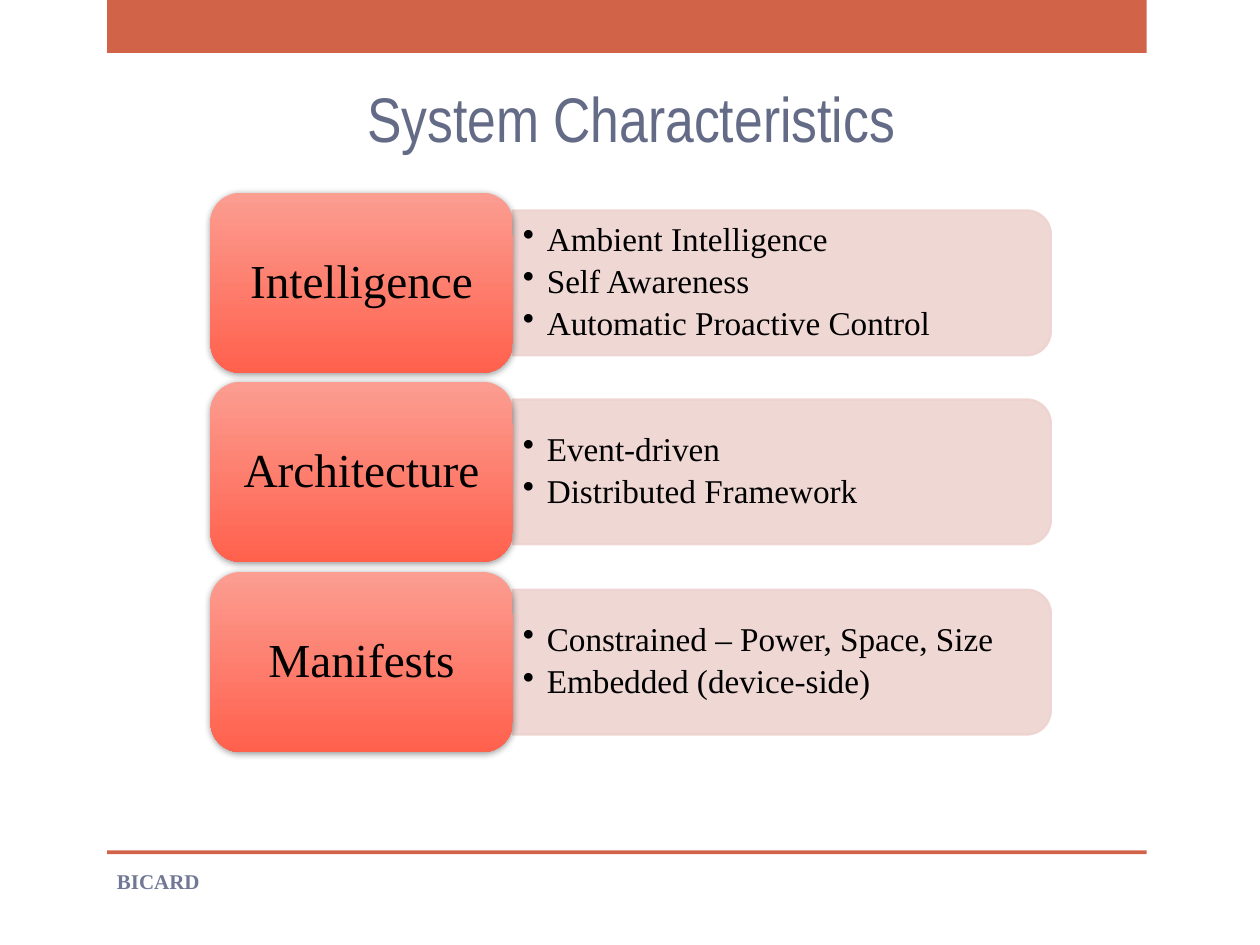
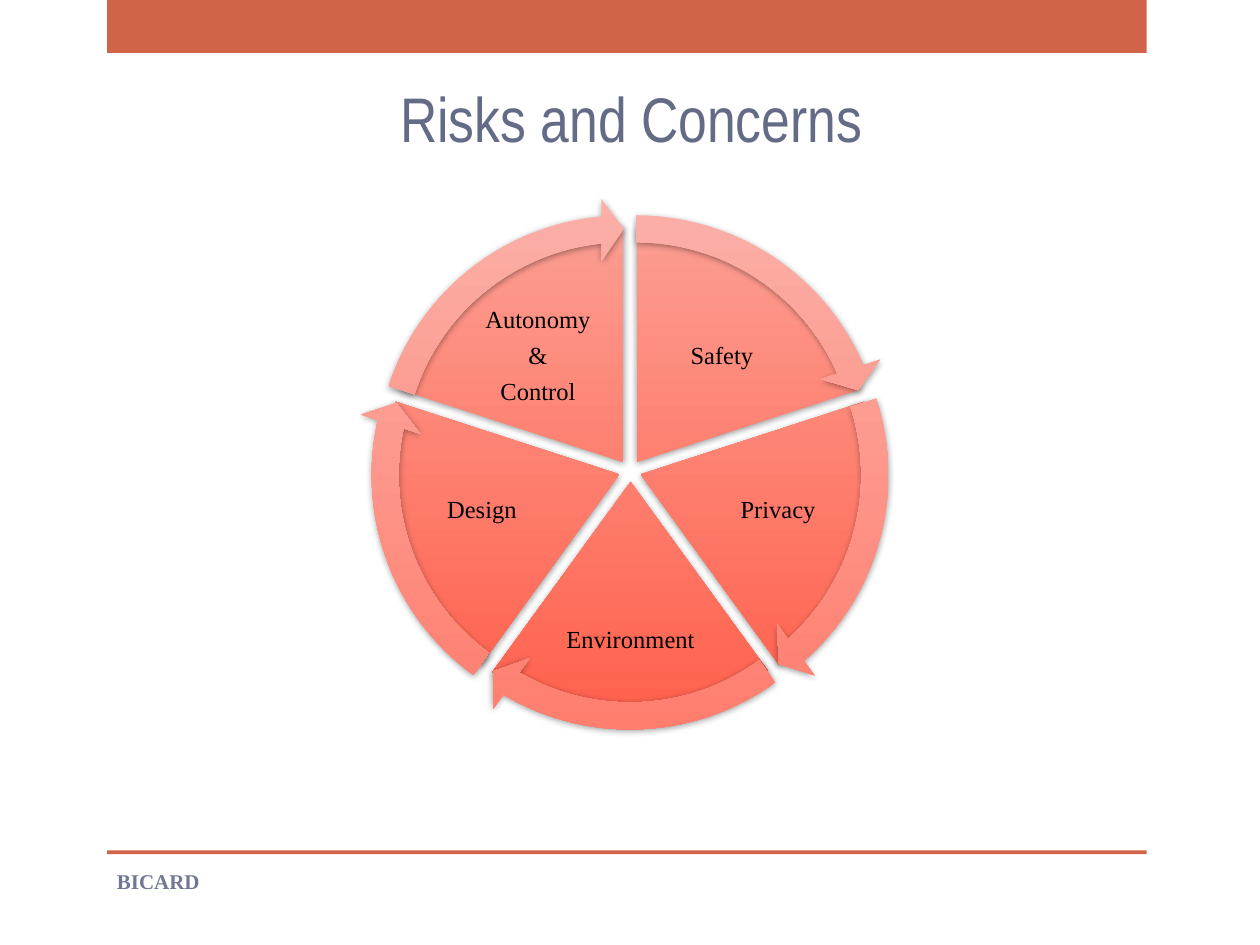
from math import cos, radians, sin

from lxml.etree import SubElement
from pptx import Presentation
from pptx.dml.color import RGBColor
from pptx.enum.shapes import MSO_SHAPE as Preset
from pptx.enum.text import MSO_ANCHOR as Anchor, PP_ALIGN as Align
from pptx.oxml.ns import qn
from pptx.util import Emu, Pt

PX = 9144  # one hundred px to the inch
BLANK_LAYOUT = 6
COLORS = {
    "band": "D16349", "title": "646B86", "footer": "717895", "text": "000000",
    "panel": "EED3D0", "shadow": "000000",
    "block_top": "FC9D91", "block_bottom": "FF614D",
    "arrow_top": "FBB0A8", "arrow_bottom": "FF7C6C",
}
SERIF = "Times New Roman"
TEXT_STYLES = {
    "title": {
        "font": {"name": "Arial Narrow", "size": Pt(36)}, "color": "title",
        "paragraph": {"alignment": Align.CENTER}},
    "footer": {
        "font": {"name": SERIF, "size": Pt(12), "bold": True}, "color": "footer",
        "paragraph": {"alignment": Align.LEFT},
        "frame": {"vertical_anchor": Anchor.MIDDLE}},
    "heading": {
        "font": {"name": SERIF, "size": Pt(27)}, "color": "text", "insets": (11, 6),
        "paragraph": {"alignment": Align.CENTER, "line_spacing": 0.9,
                      "space_after": Pt(10.8)},
        "frame": {"vertical_anchor": Anchor.MIDDLE}},
    "bullets": {
        "font": {"name": SERIF, "size": Pt(19)}, "color": "text", "insets": (8, 4),
        "paragraph": {"alignment": Align.LEFT, "level": 1, "line_spacing": 0.9,
                      "space_after": Pt(3.6)},
        "frame": {"vertical_anchor": Anchor.MIDDLE}, "bullet_indent": 19},
    "label": {
        "font": {"name": SERIF, "size": Pt(14)}, "color": "text", "insets": (2, 2),
        "paragraph": {"alignment": Align.CENTER, "line_spacing": 0.9,
                      "space_after": Pt(5.6)},
        "frame": {"vertical_anchor": Anchor.MIDDLE}},
}

CHARACTERISTICS = [
    ("Intelligence",
     ["Ambient Intelligence", "Self Awareness", "Automatic Proactive Control"]),
    ("Architecture", ["Event-driven", "Distributed Framework"]),
    ("Manifests", ["Constrained – Power, Space, Size", "Embedded (device-side)"]),
]
RISKS = [
    (["Safety"], (513, 243, 120, 80)),
    (["Privacy"], (562, 361, 111, 89)),
    (["Environment"], (447, 459, 107, 98)),
    (["Design"], (327, 361, 111, 89)),
    (["Autonomy", "&", "Control"], (367, 243, 120, 80)),
]


def set_all(target, values):
    for name, value in values.items():
        setattr(target, name, value)


def rgb(color):
    return RGBColor.from_string(COLORS[color])


class Deck:
    """Holds the presentation and the slide that is being filled."""

    def __init__(self, width, height):
        self.presentation = Presentation()
        self.presentation.slide_width = Emu(width * PX)
        self.presentation.slide_height = Emu(height * PX)
        self.slide = None

    def start_slide(self, title):
        layout = self.presentation.slide_layouts[BLANK_LAYOUT]
        self.slide = self.presentation.slides.add_slide(layout)
        for top, height in ((0, 42), (675, 3)):
            self.shape(Preset.RECTANGLE, (85, top, 825, height), "band")
        self.text_box((83, 679, 533, 40), ["BICARD"], "footer")
        self.text_box((51, 58, 900, 92), [title], "title")

    def shape(self, preset, box, color=None, adjustments=()):
        shape = self.slide.shapes.add_shape(preset, *(Emu(n * PX) for n in box))
        shape.shadow.inherit = False
        shape.line.fill.background()
        for index, value in enumerate(adjustments):
            shape.adjustments[index] = value
        if color:
            shape.fill.solid()
            shape.fill.fore_color.rgb = rgb(color)
        return shape

    def panel(self, box):
        """Draw a see-through panel, turned so its round corners face right."""
        shape = self.shape(Preset.ROUND_2_SAME_RECTANGLE, box, "panel")
        shape.rotation = 90
        shape.line.color.rgb = rgb("panel")
        shape.line.width = Pt(1.25)
        for color in shape._element.spPr.iter(qn("a:srgbClr")):
            SubElement(color, qn("a:alpha"), val="90000")

    def raised_shape(self, preset, box, tone, adjustments=()):
        """Draw a shape with a top-to-bottom gradient and a soft shadow."""
        shape = self.shape(preset, box, adjustments=adjustments)
        shape.fill.gradient()
        shape.fill.gradient_angle = 270
        for stop, end in zip(shape.fill.gradient_stops, ("top", "bottom")):
            stop.color.rgb = rgb(f"{tone}_{end}")
        effects = shape._element.spPr.find(qn("a:effectLst"))
        shadow = SubElement(effects, qn("a:outerShdw"), blurRad="50800",
                            dist="12700", dir="5280000", rotWithShape="0")
        color = SubElement(shadow, qn("a:srgbClr"), val=COLORS["shadow"])
        SubElement(color, qn("a:alpha"), val="40000")
        return shape

    def text_box(self, box, lines, style):
        shape = self.slide.shapes.add_textbox(*(Emu(n * PX) for n in box))
        self.fill_text(shape, lines, style)

    def fill_text(self, shape, lines, style):
        style = TEXT_STYLES[style]
        frame = shape.text_frame
        frame.word_wrap = True
        set_all(frame, style.get("frame", {}))
        across, down = (Emu(n * PX) for n in style.get("insets", (10, 5)))
        set_all(frame, {"margin_left": across, "margin_right": across,
                        "margin_top": down, "margin_bottom": down})
        for index, line in enumerate(lines):
            paragraph = frame.add_paragraph() if index else frame.paragraphs[0]
            set_all(paragraph, style["paragraph"])
            run = paragraph.add_run()
            run.text = line
            set_all(run.font, style["font"])
            run.font.color.rgb = rgb(style["color"])
            if "bullet_indent" in style:
                self.add_bullet(paragraph, style["bullet_indent"] * PX)

    @staticmethod
    def add_bullet(paragraph, indent):
        properties = paragraph._p.get_or_add_pPr()
        properties.set("marL", str(indent))
        properties.set("indent", str(-indent))
        SubElement(properties, qn("a:buChar"), char="•")


def build_characteristics(deck):
    deck.start_slide("System Characteristics")
    for row, (heading, bullets) in enumerate(CHARACTERISTICS):
        offset = row * 301 // 2
        deck.panel((563, 11 + offset, 115, 427))
        deck.text_box((407, 173 + offset, 421, 103), bullets, "bullets")
        block = deck.raised_shape(
            Preset.ROUNDED_RECTANGLE, (167, 153 + offset, 240, 143), "block")
        deck.fill_text(block, [heading], "heading")


def build_risks(deck):
    deck.start_slide("Risks and Concerns")
    center_x, center_y, spread = 500, 374, 9
    degree = 0.6  # adjustment units in one degree
    head_angle = 3.275
    step = 360 / len(RISKS)

    def ring_part(index, size):
        """Give the box, start and end of one part, pushed out from the centre."""
        start = 270 + index * step
        middle = radians(start + step / 2)
        left = round(center_x + spread * cos(middle) - size / 2)
        top = round(center_y + spread * sin(middle) - size / 2)
        start, end = (angle % 360 * degree for angle in (start, start + step))
        return (left, top, size, size), start, end

    for index, (lines, label_box) in enumerate(RISKS):
        box, start, end = ring_part(index, 373)
        deck.raised_shape(Preset.PIE, box, "block", (start, end))
        deck.text_box(label_box, lines, "label")
    for index in range(len(RISKS)):
        box, start, end = ring_part(index, 420)
        deck.raised_shape(Preset.CIRCULAR_ARROW, box, "arrow",
                          (0.051, head_angle, end - head_angle, start, 0.059))


def main():
    deck = Deck(1000, 750)
    build_characteristics(deck)
    build_risks(deck)
    deck.presentation.save("out.pptx")


if __name__ == "__main__":
    main()
